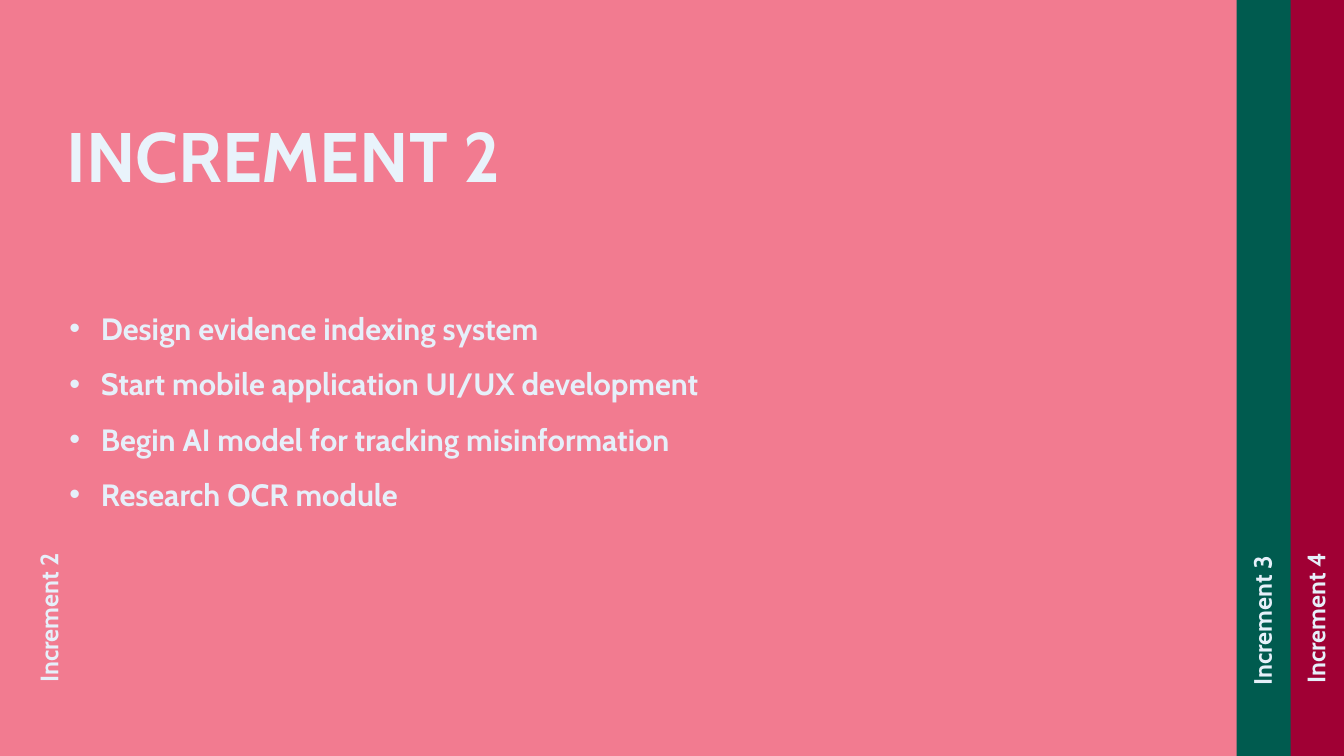
from dataclasses import dataclass

from lxml import etree
from pptx import Presentation
from pptx.dml.color import RGBColor
from pptx.enum import shapes, text
from pptx.oxml import ns
from pptx.slide import Slide
from pptx.text.text import TextFrame
from pptx.util import Pt

WIDE, HIGH = 960, 540
FONT = "Cabin"
ICE = RGBColor(0xE9, 0xF3, 0xFB)
PALE = RGBColor(0xE6, 0xF0, 0xFA)
PINK = RGBColor(0xF2, 0x7B, 0x90)
GREEN = RGBColor(0x00, 0x5B, 0x4F)
RED = RGBColor(0xA0, 0x00, 0x34)
INDENT = 22.5


@dataclass
class Panel:
    left: float
    width: float
    fill: RGBColor


@dataclass
class Label:
    words: str
    left: float
    top: float


PANELS = [
    Panel(0, 895.68, PINK),
    Panel(921.4, 38.6, RED),
    Panel(883.3, 38.6, GREEN),
]
LABELS = [
    Label("Increment 2", -22.3, 423.4),
    Label("Increment 3", 844.5, 425.4),
    Label("Increment 4", 882.7, 424.1),
]
TASKS = [
    "Design evidence indexing system",
    "Start mobile application UI/UX development",
    "Begin AI model for tracking misinformation",
    "Research OCR module",
]


def add_panel(slide: Slide, panel: Panel) -> None:
    rect = slide.shapes.add_shape(
        shapes.MSO_SHAPE.RECTANGLE, Pt(panel.left), 0, Pt(panel.width), Pt(HIGH))
    rect.shadow.inherit = False
    rect.fill.solid()
    rect.fill.fore_color.rgb = panel.fill
    rect.line.fill.background()


def add_words(slide: Slide, words: str, left: float, top: float, width: float,
              height: float, size: float, turn: float = 0,
              wrap: bool = True) -> TextFrame:
    """Add a bold text box, one paragraph per line of words."""
    box = slide.shapes.add_textbox(Pt(left), Pt(top), Pt(width), Pt(height))
    box.rotation = turn
    frame = box.text_frame
    frame.text = words
    frame.word_wrap = wrap
    frame.auto_size = text.MSO_AUTO_SIZE.SHAPE_TO_FIT_TEXT
    for para in frame.paragraphs:
        for run in para.runs:
            run.font.name = FONT
            run.font.size = Pt(size)
            run.font.bold = True
            run.font.color.rgb = PALE
    return frame


def add_bullets(frame: TextFrame) -> None:
    for para in frame.paragraphs:
        para.line_spacing = 1.5
        props = para._p.get_or_add_pPr()
        props.set("marL", str(Pt(INDENT)))
        props.set("indent", str(-Pt(INDENT)))
        font = etree.SubElement(props, ns.qn("a:buFont"))
        font.set("typeface", "Arial")
        mark = etree.SubElement(props, ns.qn("a:buChar"))
        mark.set("char", "•")


def main() -> None:
    deck = Presentation()
    deck.slide_width, deck.slide_height = Pt(WIDE), Pt(HIGH)
    slide = deck.slides.add_slide(deck.slide_layouts[6])
    slide.background.fill.solid()
    slide.background.fill.fore_color.rgb = ICE

    for panel in PANELS:
        add_panel(slide, panel)
    for label in LABELS:
        add_words(slide, label.words, label.left, label.top, 113.8, 28.8, 18,
                  turn=270, wrap=False)

    title = add_words(slide, "INCREMENT 2", 40.3, 77, 723.6, 67.7, 50)
    title.paragraphs[0].runs[0].font.color.rgb = ICE
    tasks = add_words(slide, "\n".join(TASKS), 42.5, 204.5, 764.6, 163.4, 22)
    add_bullets(tasks)

    deck.save("out.pptx")


if __name__ == "__main__":
    main()
